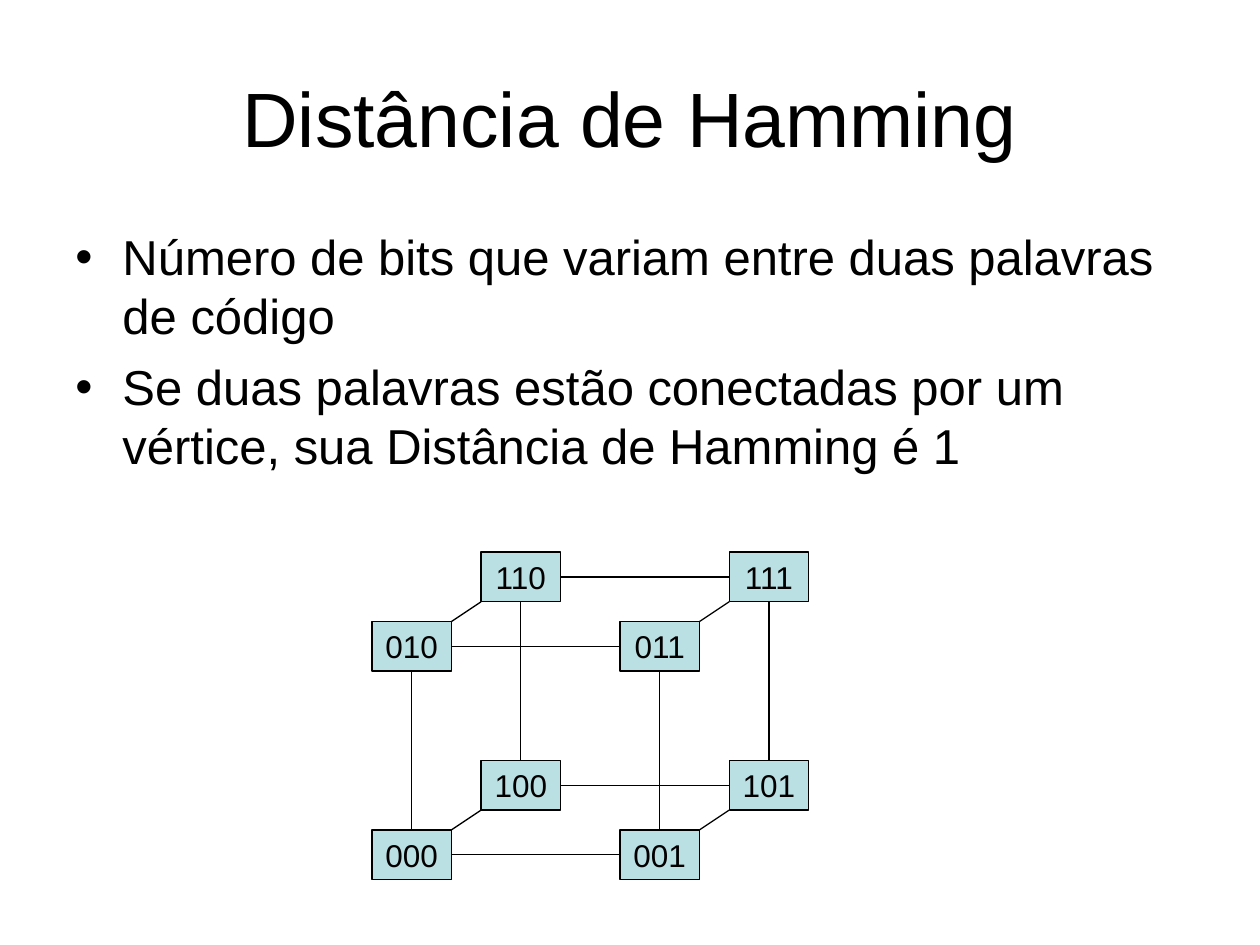
from dataclasses import dataclass

from lxml.etree import SubElement
from pptx import Presentation
from pptx.dml.color import RGBColor as Rgb
from pptx.enum.shapes import MSO_CONNECTOR as Conn, MSO_SHAPE as Geo
from pptx.enum.text import MSO_ANCHOR as Anchor, PP_ALIGN as Align
from pptx.oxml.ns import qn
from pptx.util import Cm, Pt

TOP, LEFT, BOTTOM, RIGHT = range(4)


@dataclass(frozen=True)
class Theme:
    font: str = "Arial"
    ink: Rgb = Rgb(0, 0, 0)
    fill: Rgb = Rgb(0xBB, 0xE0, 0xE3)
    title: int = 44
    body: int = 28
    label: int = 18
    line: float = 0.75


def write(frame, theme, text, size, align=Align.LEFT, anchor=Anchor.TOP,
          wrap=True, bullet=False, before=0):
    """Fill a text frame, one paragraph for each line of text."""
    frame.word_wrap = wrap
    frame.vertical_anchor = anchor
    for n, line in enumerate(text.split("\n")):
        para = frame.add_paragraph() if n else frame.paragraphs[0]
        para.alignment = align
        para.space_before = Pt(before)
        run = para.add_run()
        run.text = line
        font = run.font
        font.name, font.size = theme.font, Pt(size)
        font.color.rgb = theme.ink
        if bullet:
            props = para._p.get_or_add_pPr()
            props.set("marL", str(Cm(0.95)))
            props.set("indent", str(-Cm(0.95)))
            SubElement(props, qn("a:buFont"), typeface=theme.font)
            SubElement(props, qn("a:buChar"), char="•")


class Deck:
    """Holds the theme and the current slide."""

    def __init__(self, theme):
        self.theme = theme
        self.prs = Presentation()
        self.prs.slide_width, self.prs.slide_height = Cm(25.4), Cm(19.05)
        self.slide = self.prs.slides.add_slide(self.prs.slide_layouts[6])

    def text(self, text, x, y, w, h, **style):
        box = self.slide.shapes.add_textbox(Cm(x), Cm(y), Cm(w), Cm(h))
        write(box.text_frame, self.theme, text, **style)

    def node(self, text, x, y, w, h):
        box = self.slide.shapes.add_shape(
            Geo.RECTANGLE, Cm(x), Cm(y), Cm(w), Cm(h))
        box.shadow.inherit = False
        box.fill.solid()
        box.fill.fore_color.rgb = self.theme.fill
        box.line.color.rgb = self.theme.ink
        box.line.width = Pt(self.theme.line)
        write(box.text_frame, self.theme, text, size=self.theme.label,
              align=Align.CENTER, anchor=Anchor.MIDDLE, wrap=False)
        return box

    def line(self, x1=0, y1=0, x2=0, y2=0):
        link = self.slide.shapes.add_connector(Conn.STRAIGHT, x1, y1, x2, y2)
        link.line.color.rgb = self.theme.ink
        link.line.width = Pt(self.theme.line)
        SubElement(link._element.spPr, qn("a:effectLst"))
        return link

    def join(self, a, side_a, b, side_b):
        link = self.line()
        link.begin_connect(a, side_a)
        link.end_connect(b, side_b)

    def edge(self, front, back):
        """Link the top right corner of front to the bottom left of back."""
        self.line(front.left + front.width, front.top,
                  back.left, back.top + back.height)


def cube(deck):
    """Draw the 3-bit codes: bits give depth, height and column."""
    nodes = {}
    for deep in (0, 1):
        for col in (0, 1):
            for up in (1, 0):
                code = f"{deep}{up}{col}"
                nodes[code] = deck.node(
                    code, 7.5 + 5 * col + 2.2 * deep,
                    16.73 - 4.2 * up - 1.4 * deep, 1.6, 1)
        for bit in (1, 0):
            deck.join(nodes[f"{deep}{bit}0"], RIGHT,
                      nodes[f"{deep}{bit}1"], LEFT)
            deck.join(nodes[f"{deep}1{bit}"], BOTTOM,
                      nodes[f"{deep}0{bit}"], TOP)
    for tail in ("10", "00", "01", "11"):
        deck.edge(nodes["0" + tail], nodes["1" + tail])


def main():
    theme = Theme()
    deck = Deck(theme)
    deck.text("Distância de Hamming", 1.27, 0.76, 22.86, 3.18,
              size=theme.title, align=Align.CENTER, anchor=Anchor.MIDDLE)
    deck.text("Número de bits que variam entre duas palavras de código\n"
              "Se duas palavras estão conectadas por um vértice, "
              "sua Distância de Hamming é 1",
              1.27, 4.45, 22.86, 5.49,
              size=theme.body, bullet=True, before=7)
    cube(deck)
    deck.prs.save("out.pptx")


if __name__ == "__main__":
    main()
